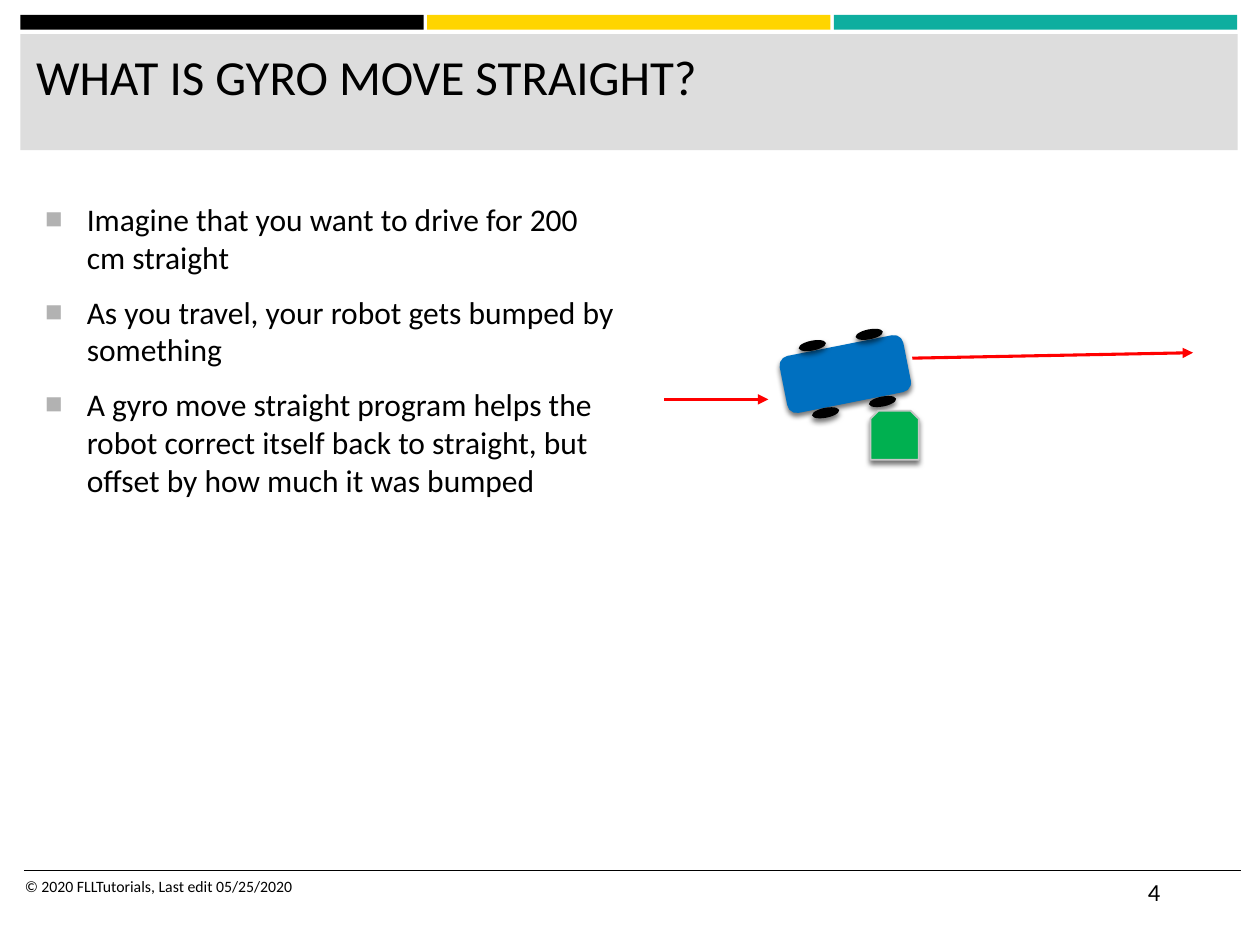
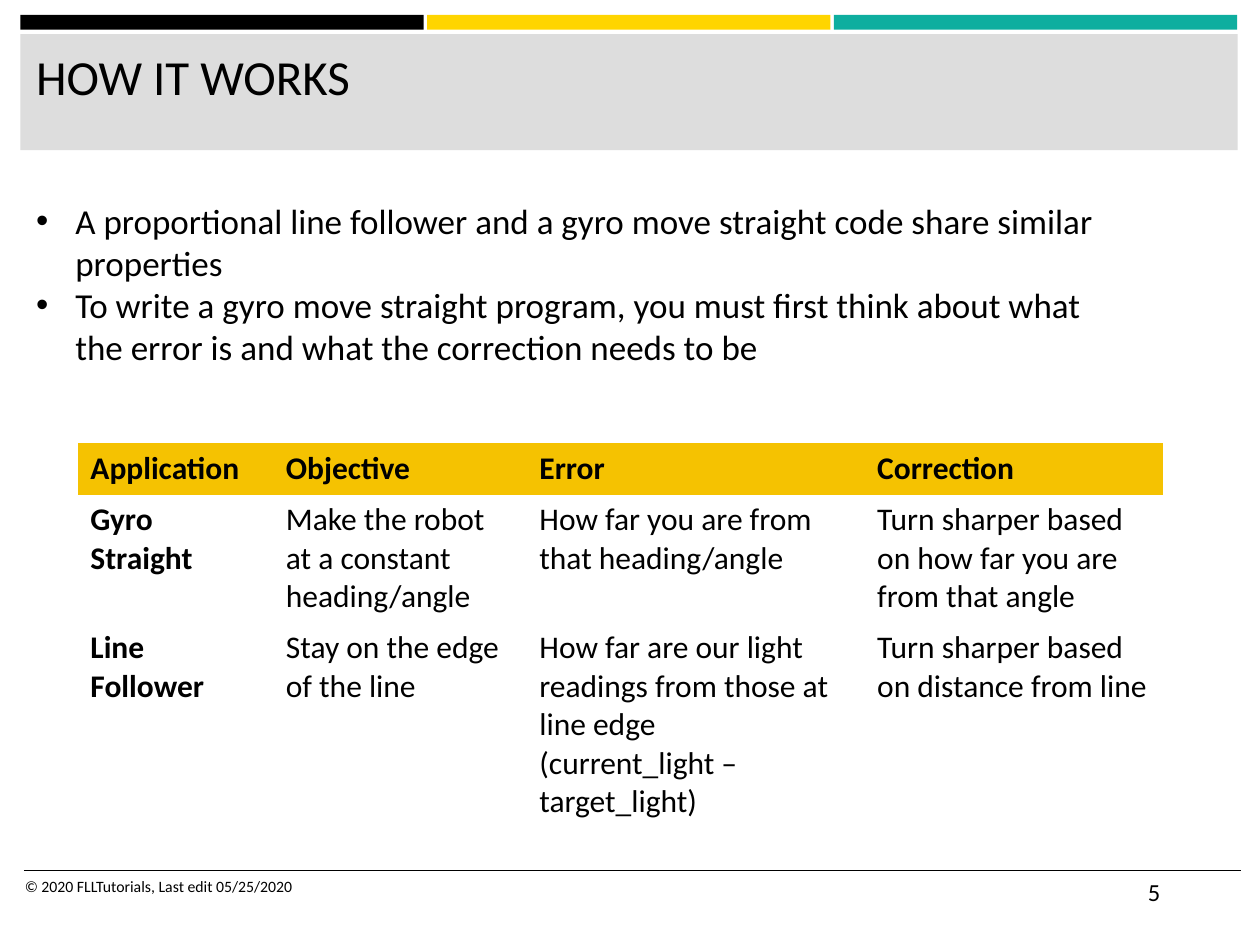
import math

from lxml import etree
from pptx import Presentation
from pptx import util as u
from pptx.dml.color import RGBColor
from pptx.enum import shapes, text
from pptx.oxml import ns

FONT = "Calibri"
BLACK = "000000"
TITLE_GRAY = "DDDDDD"
BAND_COLORS = (BLACK, "FFD500", "0EAE9F")
BULLET_GRAY = "B2B2B2"
ARROW_RED = "FF0000"
ROBOT_BLUE = "0070C0"
OBSTACLE_GREEN = "00B050"
OBSTACLE_EDGE = "C7C7C7"
HEADER_GOLD = "F5C201"
PLAIN_TABLE_STYLE = "{2D5ABB26-0587-4C30-8999-92F81FD0307C}"
FOOTER_TOP = 17.55


def color(value):
    return RGBColor.from_string(value)


def add_xml(parent, tag, **attributes):
    return etree.SubElement(parent, ns.qn(tag), attributes)


def add_run(paragraph, words, size, bold=False):
    run = paragraph.add_run()
    run.text = words
    run.font.name = FONT
    run.font.size = u.Pt(size)
    run.font.bold = bold
    run.font.color.rgb = color(BLACK)


def add_block(slide, preset, left, top, width, height, fill, edge=None):
    block = slide.shapes.add_shape(
        preset, u.Cm(left), u.Cm(top), u.Cm(width), u.Cm(height))
    block.fill.solid()
    block.fill.fore_color.rgb = color(fill)
    if edge:
        block.line.color.rgb = color(edge)
        block.line.width = u.Pt(1)
    else:
        block.line.fill.background()
    block.shadow.inherit = False
    return block


def add_soft_shadow(block):
    effects = block._element.spPr.find(ns.qn("a:effectLst"))
    shadow = add_xml(effects, "a:outerShdw", blurRad=str(u.Pt(3)),
                     dist=str(u.Pt(2)), dir="5400000", rotWithShape="0")
    shade = add_xml(shadow, "a:srgbClr", val=BLACK)
    add_xml(shade, "a:alpha", val="55000")


def add_line(slide, start, end, stroke, width, arrow=False):
    line = slide.shapes.add_connector(
        shapes.MSO_CONNECTOR.STRAIGHT, *(u.Cm(v) for v in start + end))
    line.line.color.rgb = color(stroke)
    line.line.width = u.Pt(width)
    properties = line._element.spPr
    if arrow:
        add_xml(properties.find(ns.qn("a:ln")), "a:tailEnd", type="triangle")
    add_xml(properties, "a:effectLst")


def add_text_frame(slide, left, top, width, height):
    box = slide.shapes.add_textbox(
        u.Cm(left), u.Cm(top), u.Cm(width), u.Cm(height))
    box.text_frame.word_wrap = True
    box.text_frame.vertical_anchor = text.MSO_ANCHOR.TOP
    return box.text_frame


def add_label(slide, words, size, left, top, width, height):
    frame = add_text_frame(slide, left, top, width, height)
    add_run(frame.paragraphs[0], words, size)


def add_bullets(slide, points, size, place, mark, indent,
                mark_color=BLACK, mark_percent=100, before=0, after=0):
    frame = add_text_frame(slide, *place)
    for index, point in enumerate(points):
        paragraph = frame.add_paragraph() if index else frame.paragraphs[0]
        properties = paragraph._p.get_or_add_pPr()
        properties.set("marL", str(u.Cm(indent)))
        properties.set("indent", str(-u.Cm(indent)))
        add_xml(add_xml(properties, "a:buClr"), "a:srgbClr", val=mark_color)
        add_xml(properties, "a:buSzPct", val=str(mark_percent * 1000))
        add_xml(properties, "a:buFont", typeface="Arial")
        add_xml(properties, "a:buChar", char=mark)
        if index:
            paragraph.space_before = u.Pt(before)
        paragraph.space_after = u.Pt(after)
        add_run(paragraph, point, size)


def add_base_slide(deck, title, number):
    slide = deck.slides.add_slide(deck.slide_layouts[6])
    rectangle = shapes.MSO_SHAPE.RECTANGLE
    for index, band in enumerate(BAND_COLORS):
        add_block(slide, rectangle, 0.41 + 8.2 * index, 0.3, 8.13, 0.3, band)
    add_block(slide, rectangle, 0.41, 0.69, 24.54, 2.34, TITLE_GRAY)
    add_line(slide, (0.48, FOOTER_TOP), (25.02, FOOTER_TOP), BLACK, 1)
    add_label(slide, title, 28, 0.48, 0.81, 24.31, 2.08)
    add_label(slide, "© 2020 FLLTutorials, Last edit 05/25/2020", 9,
              0.25, FOOTER_TOP, 13.54, 1.02)
    add_label(slide, str(number), 14, 22.89, FOOTER_TOP, 2.13, 1.02)
    return slide


def add_robot(slide, center_x, center_y, tilt):
    angle = math.radians(tilt)

    def add_part(preset, dx, dy, width, height, fill):
        x = center_x + dx * math.cos(angle) - dy * math.sin(angle)
        y = center_y + dx * math.sin(angle) + dy * math.cos(angle)
        part = add_block(slide, preset, x - width / 2, y - height / 2,
                         width, height, fill)
        part.rotation = tilt
        add_soft_shadow(part)

    add_part(shapes.MSO_SHAPE.ROUNDED_RECTANGLE, 0, 0, 2.54, 1.17, ROBOT_BLUE)
    for wheel_x in (-0.54, 0.63):
        for wheel_y in (-0.69, 0.69):
            add_part(shapes.MSO_SHAPE.OVAL, wheel_x, wheel_y, 0.56, 0.2, BLACK)


def add_comparison(slide, rows, left, top, widths, heights):
    frame = slide.shapes.add_table(
        len(rows), len(widths), u.Cm(left), u.Cm(top),
        u.Cm(sum(widths)), u.Cm(sum(heights)))
    table = frame.table
    table.horz_banding = False
    table._tbl.tblPr.find(ns.qn("a:tableStyleId")).text = PLAIN_TABLE_STYLE
    for column, width in zip(table.columns, widths):
        column.width = u.Cm(width)
    for row, height in zip(table.rows, heights):
        row.height = u.Cm(height)
    for r, row in enumerate(rows):
        for c, words in enumerate(row):
            cell = table.cell(r, c)
            if r == 0:
                cell.fill.solid()
                cell.fill.fore_color.rgb = color(HEADER_GOLD)
            else:
                cell.fill.background()
            paragraph = cell.text_frame.paragraphs[0]
            for index, line in enumerate(words.split("\n")):
                if index:
                    paragraph.add_line_break()
                add_run(paragraph, line, 18, bold=r == 0 or c == 0)


def build_bump_slide(deck):
    slide = add_base_slide(deck, "WHAT IS GYRO MOVE STRAIGHT?", 4)
    add_bullets(slide, (
        "Imagine that you want to drive for 200 cm straight",
        "As you travel, your robot gets bumped by something",
        "A gyro move straight program helps the robot correct itself back to "
        "straight, but offset by how much it was bumped",
    ), 18, (0.66, 3.91, 12.14, 11.96), "■", 0.84,
        BULLET_GRAY, 92, before=3.6, after=6)
    add_robot(slide, 17.04, 7.54, -11.2)
    add_line(slide, (18.39, 7.22), (24.05, 7.11), ARROW_RED, 1.75, arrow=True)
    obstacle = add_block(slide, shapes.MSO_SHAPE.SNIP_2_SAME_RECTANGLE,
                         17.55, 8.28, 0.97, 0.99, OBSTACLE_GREEN, OBSTACLE_EDGE)
    add_soft_shadow(obstacle)
    add_line(slide, (13.39, 8.05), (15.49, 8.05), ARROW_RED, 1.75, arrow=True)


def build_method_slide(deck):
    slide = add_base_slide(deck, "HOW IT WORKS", 5)
    add_comparison(slide, (
        ("Application", "Objective", "Error", "Correction"),
        ("Gyro Straight", "Make the robot at a constant heading/angle",
         "How far you are from that heading/angle",
         "Turn sharper based on how far you are from that angle"),
        ("Line Follower", "Stay on the edge of the line",
         "How far are our light readings from those at line edge\n"
         "(current_light – target_light)",
         "Turn sharper based on distance from line"),
    ), 1.57, 8.94, (3.94, 5.11, 6.81, 6.02), (1.03, 2.58, 4.04))
    add_bullets(slide, (
        "A proportional line follower and a gyro move straight code share "
        "similar properties",
        "To write a gyro move straight program, you must first think about "
        "what the error is and what the correction needs to be",
    ), 20, (0.48, 3.89, 22.07, 3.68), "•", 0.79)


def main():
    deck = Presentation()
    deck.slide_width = u.Cm(25.4)
    deck.slide_height = u.Cm(19.05)
    build_bump_slide(deck)
    build_method_slide(deck)
    deck.save("out.pptx")


if __name__ == "__main__":
    main()
